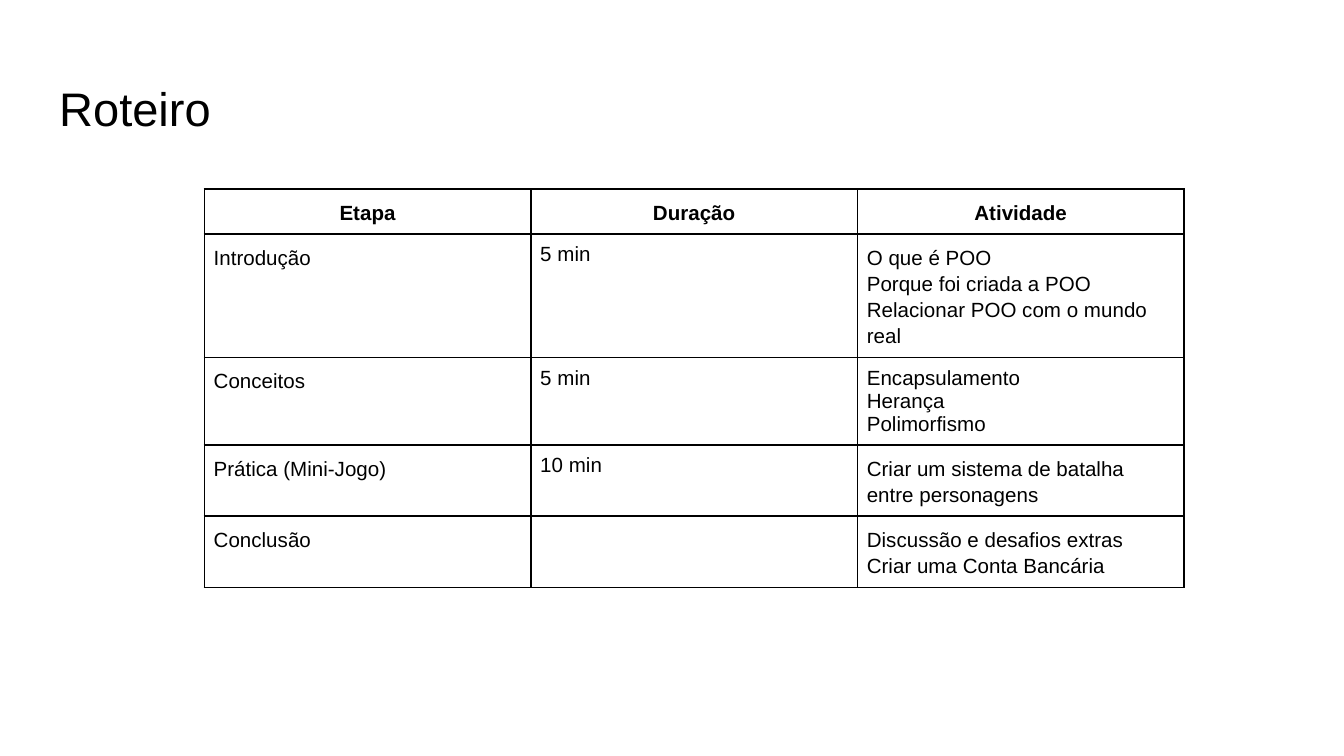
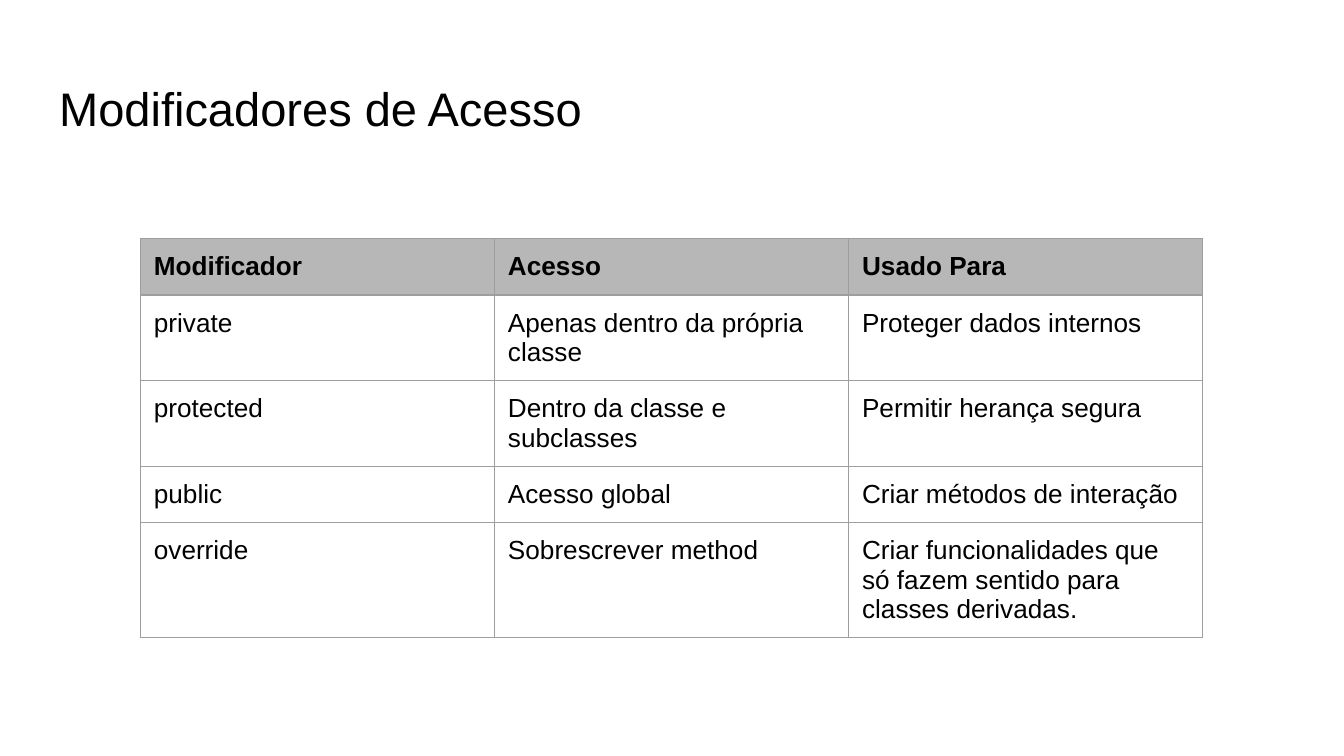
from dataclasses import dataclass

from lxml.etree import SubElement
from pptx import Presentation
from pptx.dml.color import RGBColor
from pptx.enum.text import MSO_ANCHOR, MSO_AUTO_SIZE, PP_ALIGN
from pptx.oxml.ns import qn
from pptx.util import Emu, Pt

PX = 4572


@dataclass(frozen=True)
class Theme:
    font: str = "Arial"
    ink: str = "000000"
    paper: str = "FFFFFF"
    grid: str = "9E9E9E"
    header: str = "B7B7B7"
    title_size: float = 25.2
    agenda_size: int = 11
    access_size: int = 14


def px(n):
    return Emu(n * PX)


def write(tf, text, size, font, color, bold=False, align=PP_ALIGN.LEFT, spacing=1.0):
    for i, line in enumerate(text.split("\n")):
        p = tf.add_paragraph() if i else tf.paragraphs[0]
        p.alignment = align
        p.line_spacing = spacing
        r = p.add_run()
        r.text = line
        r.font.name = font
        r.font.size = Pt(size)
        r.font.bold = bold
        r.font.color.rgb = RGBColor.from_string(color)


def set_insets(box, inset):
    box.margin_left = box.margin_right = px(inset)
    box.margin_top = box.margin_bottom = px(inset)


def set_borders(cell, color, width):
    tcPr = cell._tc.get_or_add_tcPr()
    for side in ("lnL", "lnR", "lnT", "lnB"):
        ln = SubElement(tcPr, qn(f"a:{side}"), w=str(Pt(width)))
        fill = SubElement(ln, qn("a:solidFill"))
        SubElement(fill, qn("a:srgbClr"), val=color)


class Deck:
    def __init__(self, theme, width, height):
        self.theme = theme
        self.prs = Presentation()
        self.prs.slide_width = px(width)
        self.prs.slide_height = px(height)
        self.s = None

    def slide(self, title):
        self.s = self.prs.slides.add_slide(self.prs.slide_layouts[5])
        bg = self.s.background.fill
        bg.solid()
        bg.fore_color.rgb = RGBColor.from_string(self.theme.paper)
        self.title(title)

    def title(self, text):
        sp = self.s.shapes.title
        sp.left, sp.top, sp.width, sp.height = map(px, (68, 97, 1864, 126))
        tf = sp.text_frame
        tf.word_wrap = True
        tf.auto_size = MSO_AUTO_SIZE.NONE
        tf.vertical_anchor = MSO_ANCHOR.MIDDLE
        set_insets(tf, 20)
        write(tf, text, self.theme.title_size, self.theme.font, self.theme.ink)

    def table(self, rows, left, top, col_width, row_height, size, inset,
              border, border_width, header_fill=None,
              header_align=PP_ALIGN.LEFT, spacing=lambda row, col: 1.0):
        n_rows, n_cols = len(rows), len(rows[0])
        table = self.s.shapes.add_table(
            n_rows, n_cols, px(left), px(top),
            px(col_width * n_cols), px(row_height * n_rows)).table
        table.first_row = table.horz_banding = False
        for i, row in enumerate(rows):
            for j, text in enumerate(row):
                cell = table.cell(i, j)
                set_insets(cell, inset)
                set_borders(cell, border, border_width)
                if header_fill and i == 0:
                    cell.fill.solid()
                    cell.fill.fore_color.rgb = RGBColor.from_string(header_fill)
                else:
                    cell.fill.background()
                if text:
                    write(cell.text_frame, text, size, self.theme.font,
                          self.theme.ink, bold=i == 0,
                          align=PP_ALIGN.LEFT if i else header_align,
                          spacing=spacing(i, j))

    def save(self):
        self.prs.save("out.pptx")


AGENDA = [
    ("Etapa", "Duração", "Atividade"),
    ("Introdução", "5 min",
     "O que é POO\nPorque foi criada a POO\nRelacionar POO com o mundo real"),
    ("Conceitos", "5 min", "Encapsulamento\nHerança\nPolimorfismo"),
    ("Prática (Mini-Jogo)", "10 min",
     "Criar um sistema de batalha entre personagens"),
    ("Conclusão", "", "Discussão e desafios extras\nCriar uma Conta Bancária"),
]

ACCESS = [
    ("Modificador", "Acesso", "Usado Para"),
    ("private", "Apenas dentro da própria classe", "Proteger dados internos"),
    ("protected", "Dentro da classe e subclasses", "Permitir herança segura"),
    ("public", "Acesso global", "Criar métodos de interação"),
    ("override", "Sobrescrever method",
     "Criar funcionalidades que só fazem sentido para classes derivadas."),
]


def agenda_spacing(row, col):
    tight = row > 0 and (col == 1 or (row, col) == (2, 2))
    return 1.0 if tight else 1.15


def main():
    theme = Theme()
    deck = Deck(theme, 2000, 1125)

    deck.slide("Roteiro")
    deck.table(AGENDA, 304, 281, 486, 2, theme.agenda_size, 14, theme.ink, 1,
               header_align=PP_ALIGN.CENTER, spacing=agenda_spacing)

    deck.slide("Modificadores de Acesso")
    deck.table(ACCESS, 209, 355, 527, 84, theme.access_size, 20, theme.grid, 0.75,
               header_fill=theme.header)

    deck.save()


if __name__ == "__main__":
    main()
